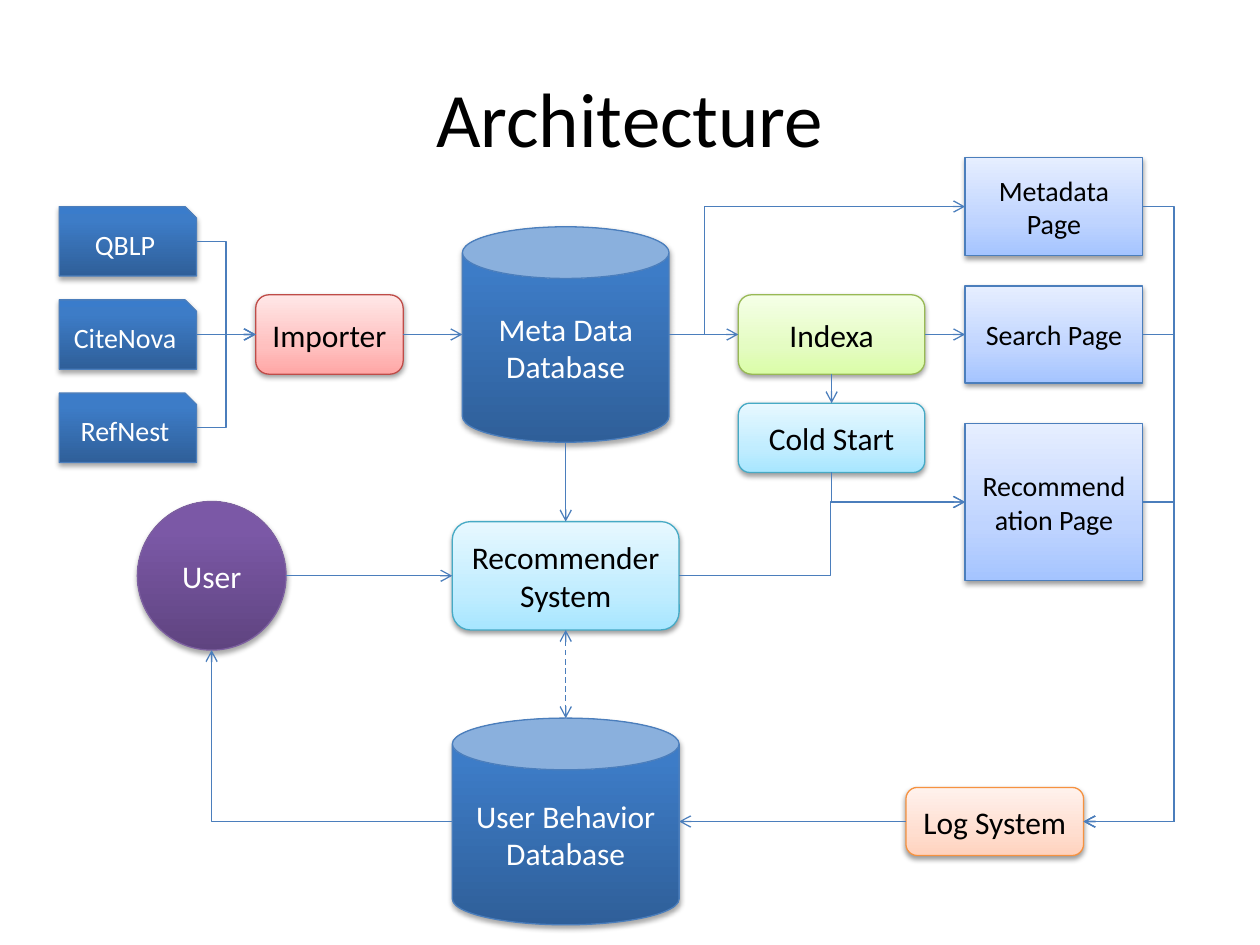
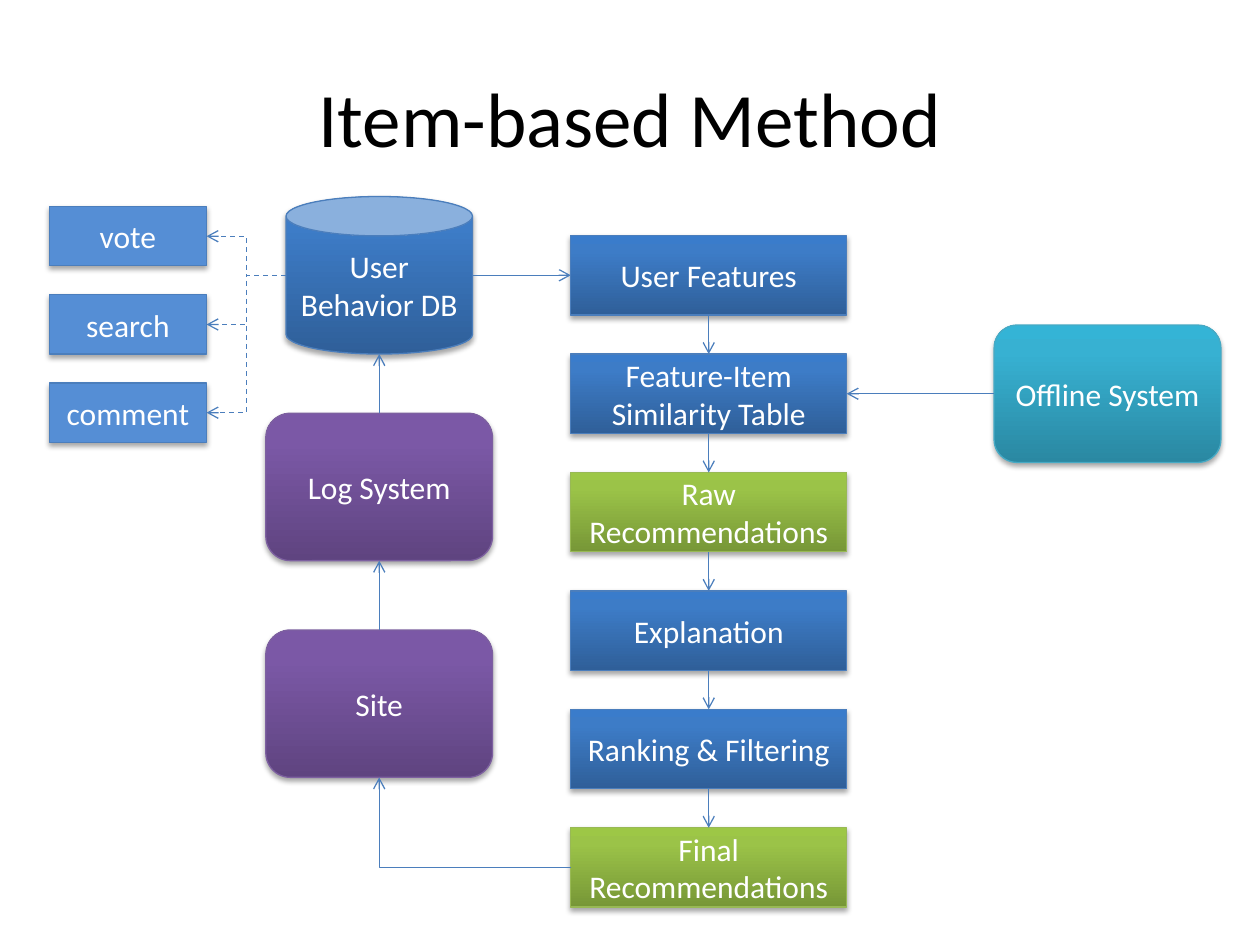
import pptx
import pptx.dml.color
import pptx.enum.dml
import pptx.enum.shapes
import pptx.enum.text
import pptx.oxml.ns
import pptx.util
from lxml import etree

Inches = pptx.util.Inches
Pt = pptx.util.Pt
RGBColor = pptx.dml.color.RGBColor
Shape = pptx.enum.shapes.MSO_SHAPE
Connector = pptx.enum.shapes.MSO_CONNECTOR
qn = pptx.oxml.ns.qn

FONT = "Calibri"
BLACK = RGBColor(0x00, 0x00, 0x00)
WHITE = RGBColor(0xFF, 0xFF, 0xFF)
BLUE_LINE = RGBColor(0x4B, 0x7E, 0xBC)
GREEN_LINE = RGBColor(0x98, 0xB9, 0x55)
AQUA_LINE = RGBColor(0x46, 0xAA, 0xC5)
PURPLE_LINE = RGBColor(0x7D, 0x60, 0xA0)
RED_LINE = RGBColor(0xBF, 0x4C, 0x48)
ORANGE_LINE = RGBColor(0xF6, 0x92, 0x40)
FLAT_BLUE = RGBColor(0x55, 0x8E, 0xD5)


def gradient(middle, *colors):
    """Stops from bottom to top, the middle one at the given percentage."""
    return list(zip((0, middle, 100), map(RGBColor.from_string, colors)))


# Each look: fill (one colour or gradient stops), outline, text colour
BLUE = (gradient(80, "2F5F99", "3D7CC7", "3A7CCB"), BLUE_LINE, WHITE)
GREEN = (gradient(80, "779737", "9BC348", "9DC746"), GREEN_LINE, WHITE)
PURPLE = (gradient(80, "5F4480", "7B58A6", "7C57A8"), PURPLE_LINE, WHITE)
AQUA = (gradient(80, "2A88A2", "37B1D2", "34B4D6"), AQUA_LINE, WHITE)
PLAIN_BLUE = (FLAT_BLUE, BLUE_LINE, WHITE)
PALE_BLUE = (gradient(35, "A4C4FF", "BFD4FF", "E6EEFF"), BLUE_LINE, BLACK)
PALE_GREEN = (gradient(35, "DAFDA7", "E4FCC2", "F5FFE7"), GREEN_LINE, BLACK)
PALE_AQUA = (gradient(35, "A7E6FF", "C1EDFF", "E7F8FF"), AQUA_LINE, BLACK)
PALE_RED = (gradient(35, "FFA6A5", "FFC0BF", "FFE7E7"), RED_LINE, BLACK)
PALE_ORANGE = (gradient(35, "FFD2BD", "FFDED0", "FFF2ED"), ORANGE_LINE, BLACK)

# Connection site numbers of each outline
BOX_SITES = {"top": 0, "left": 1, "bottom": 2, "right": 3}
SITES = {
    Shape.CAN: {"top": 1, "left": 2, "bottom": 3, "right": 4},
    Shape.OVAL: {"top": 0, "left": 2, "bottom": 4, "right": 6},
    Shape.SNIP_1_RECTANGLE: {"right": 0, "bottom": 1, "left": 2, "top": 3},
}


def add_child(parent, tag, **attributes):
    child = etree.SubElement(parent, qn(tag))
    for name, value in attributes.items():
        child.set(name, str(value))
    return child


def format_text(frame, size, color):
    frame.vertical_anchor = pptx.enum.text.MSO_ANCHOR.MIDDLE
    for paragraph in frame.paragraphs:
        paragraph.alignment = pptx.enum.text.PP_ALIGN.CENTER
        for span in paragraph.runs:
            span.font.name = FONT
            span.font.size = Pt(size)
            span.font.color.rgb = color


def add_page(deck, title_text):
    page = deck.slides.add_slide(deck.slide_layouts[5])
    title = page.shapes.title
    title.left, title.top = Inches(0.5), Inches(0.3)
    title.width, title.height = Inches(9), Inches(1.25)
    title.text_frame.text = title_text
    format_text(title.text_frame, 44, BLACK)
    return page


def fill_box(box, fill):
    if isinstance(fill, RGBColor):
        box.fill.solid()
        box.fill.fore_color.rgb = fill
        return
    box.fill.gradient()
    box.fill.gradient_angle = 90
    stops = box._element.spPr.find(".//" + qn("a:gsLst"))
    stops.clear()
    for percent, color in fill:
        stop = add_child(stops, "a:gs", pos=percent * 1000)
        add_child(stop, "a:srgbClr", val=color)


def add_shadow(box, opacity, distance):
    box.shadow.inherit = False
    effects = box._element.spPr.find(qn("a:effectLst"))
    shadow = add_child(effects, "a:outerShdw", blurRad=Pt(3.1), dist=Pt(distance),
                       dir=5400000, rotWithShape=0)
    color = add_child(shadow, "a:srgbClr", val=BLACK)
    add_child(color, "a:alpha", val=opacity * 1000)


def add_box(page, outline, text, look, left, top, width, height, size=18):
    fill, line_color, text_color = look
    box = page.shapes.add_shape(outline, Inches(left), Inches(top),
                                Inches(width), Inches(height))
    fill_box(box, fill)
    box.line.color.rgb = line_color
    box.line.width = Pt(0.75)
    if text_color == WHITE:
        add_shadow(box, 35, 1.8)
    else:
        add_shadow(box, 38, 1.6)
    box.text_frame.text = text
    format_text(box.text_frame, size, text_color)
    return box


def side_point(box, side):
    x = {"left": box.left, "right": box.left + box.width}
    y = {"top": box.top, "bottom": box.top + box.height}
    return (x.get(side, box.left + box.width // 2),
            y.get(side, box.top + box.height // 2))


def link(page, start, start_side, end, end_side, bend=0.5, dashed=False,
         arrows=("a:tailEnd",)):
    """Join two boxes: straight when level, otherwise with one or two corners."""
    start_x, start_y = side_point(start, start_side)
    end_x, end_y = side_point(end, end_side)
    level = min(abs(start_x - end_x), abs(start_y - end_y)) < Inches(0.02)
    one_corner = (start_side in ("left", "right")) != (end_side in ("left", "right"))
    kind = Connector.STRAIGHT if level else Connector.ELBOW
    connector = page.shapes.add_connector(kind, start_x, start_y, end_x, end_y)
    connector.line.color.rgb = BLUE_LINE
    connector.line.width = Pt(0.75)
    if dashed:
        connector.line.dash_style = pptx.enum.dml.MSO_LINE.DASH

    properties = connector._element.spPr
    for arrow in arrows:
        add_child(properties.find(qn("a:ln")), arrow, type="arrow")
    add_child(properties, "a:effectLst")
    geometry = properties.find(qn("a:prstGeom"))
    if one_corner:
        geometry.set("prst", "bentConnector2")
    elif not level:
        add_child(geometry.find(qn("a:avLst")), "a:gd", name="adj1",
                  fmla=f"val {round(bend * 100000)}")

    glue = connector._element.find(".//" + qn("p:cNvCxnSpPr"))
    for tag, box, side in (("a:stCxn", start, start_side), ("a:endCxn", end, end_side)):
        sites = SITES.get(box.auto_shape_type, BOX_SITES)
        add_child(glue, tag, id=box.shape_id, idx=sites[side])


def build_architecture(deck):
    page = add_page(deck, "Architecture")
    rounded = Shape.ROUNDED_RECTANGLE
    metadata = add_box(page, Shape.CAN, "Meta Data Database", BLUE, 3.67, 1.8, 1.64, 1.71)
    behavior = add_box(page, Shape.CAN, "User Behavior Database", BLUE, 3.59, 5.7, 1.8, 1.64)
    importer = add_box(page, rounded, "Importer", PALE_RED, 2.03, 2.34, 1.17, 0.63)
    indexer = add_box(page, rounded, "Indexa", PALE_GREEN, 5.86, 2.34, 1.48, 0.63)
    cold_start = add_box(page, rounded, "Cold Start", PALE_AQUA, 5.86, 3.2, 1.48, 0.55)
    log_system = add_box(page, rounded, "Log System", PALE_ORANGE, 7.19, 6.25, 1.41, 0.54)
    user = add_box(page, Shape.OVAL, "User", PURPLE, 1.09, 3.98, 1.18, 1.18)
    recommender = add_box(page, rounded, "Recommender System", PALE_AQUA,
                          3.59, 4.14, 1.8, 0.86)

    for row, name in enumerate(("QBLP", "CiteNova", "RefNest")):
        source = add_box(page, Shape.SNIP_1_RECTANGLE, name, BLUE,
                         0.47, 1.64 + 0.74 * row, 1.09, 0.55, size=16)
        link(page, source, "right", importer, "left")

    web_pages = []
    for name, top, height in (("Metadata Page", 1.25, 0.78), ("Search Page", 2.27, 0.77),
                              ("Recommendation Page", 3.36, 1.25)):
        web_page = add_box(page, Shape.RECTANGLE, name, PALE_BLUE,
                           7.66, top, 1.41, height, size=16)
        link(page, web_page, "right", log_system, "right", bend=-0.53)
        web_pages.append(web_page)
    metadata_page, search_page, recommendation_page = web_pages

    link(page, importer, "right", metadata, "left")
    link(page, metadata, "right", indexer, "left")
    link(page, metadata, "right", metadata_page, "left", bend=0.12)
    link(page, metadata, "bottom", recommender, "top")
    link(page, indexer, "right", search_page, "left")
    link(page, indexer, "bottom", cold_start, "top")
    link(page, recommendation_page, "left", cold_start, "bottom", arrows=("a:headEnd",))
    link(page, recommender, "right", recommendation_page, "left", bend=0.53)
    link(page, user, "right", recommender, "left")
    link(page, log_system, "left", behavior, "right")
    link(page, behavior, "left", user, "bottom")
    link(page, recommender, "bottom", behavior, "top", dashed=True,
         arrows=("a:headEnd", "a:tailEnd"))


def build_item_method(deck):
    page = add_page(deck, "Item-based Method")
    rounded = Shape.ROUNDED_RECTANGLE
    behavior = add_box(page, Shape.CAN, "User Behavior DB", BLUE, 2.27, 1.56, 1.48, 1.25)
    log_system = add_box(page, rounded, "Log System", PURPLE, 2.11, 3.28, 1.8, 1.17)
    site = add_box(page, rounded, "Site", PURPLE, 2.11, 5, 1.8, 1.17)
    offline = add_box(page, rounded, "Offline System", AQUA, 7.89, 2.58, 1.8, 1.09)

    steps = []
    for row, (name, look) in enumerate((
            ("User Features", BLUE), ("Feature-Item Similarity Table", BLUE),
            ("Raw Recommendations", GREEN), ("Explanation", BLUE),
            ("Ranking & Filtering", BLUE), ("Final Recommendations", GREEN))):
        steps.append(add_box(page, Shape.RECTANGLE, name, look,
                             4.53, 1.87 + 0.94 * row, 2.19, 0.63))
    for upper, lower in zip(steps, steps[1:]):
        link(page, upper, "bottom", lower, "top")

    for row, name in enumerate(("vote", "search", "comment")):
        action = add_box(page, Shape.RECTANGLE, name, PLAIN_BLUE,
                         0.39, 1.64 + 0.7 * row, 1.25, 0.47)
        link(page, behavior, "left", action, "right", dashed=True)

    link(page, behavior, "right", steps[0], "left")
    link(page, offline, "left", steps[1], "right")
    link(page, steps[-1], "left", site, "bottom")
    link(page, site, "top", log_system, "bottom")
    link(page, log_system, "top", behavior, "bottom")


def main():
    deck = pptx.Presentation()
    deck.slide_width, deck.slide_height = Inches(10), Inches(7.5)
    build_architecture(deck)
    build_item_method(deck)
    deck.save("out.pptx")


if __name__ == "__main__":
    main()
